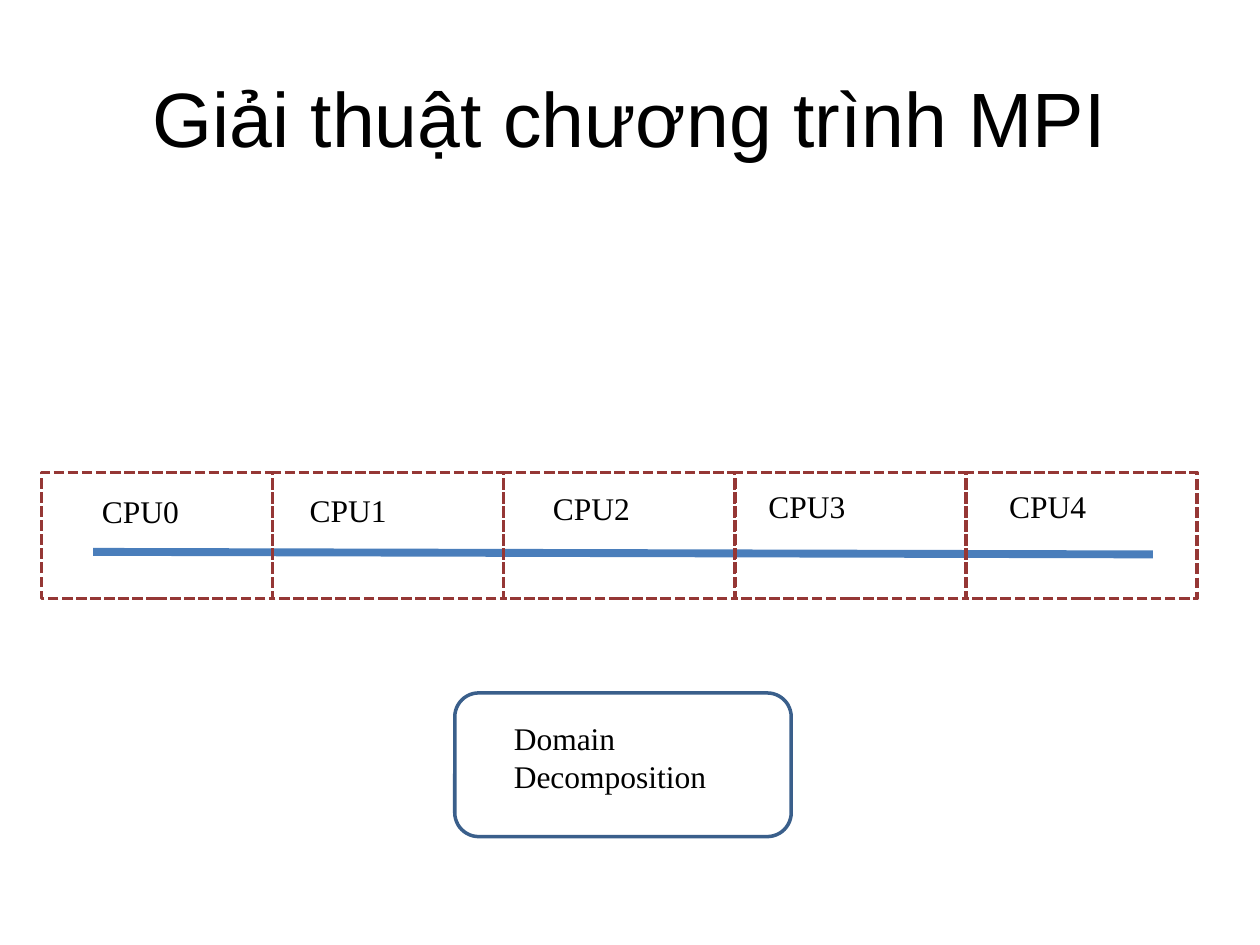
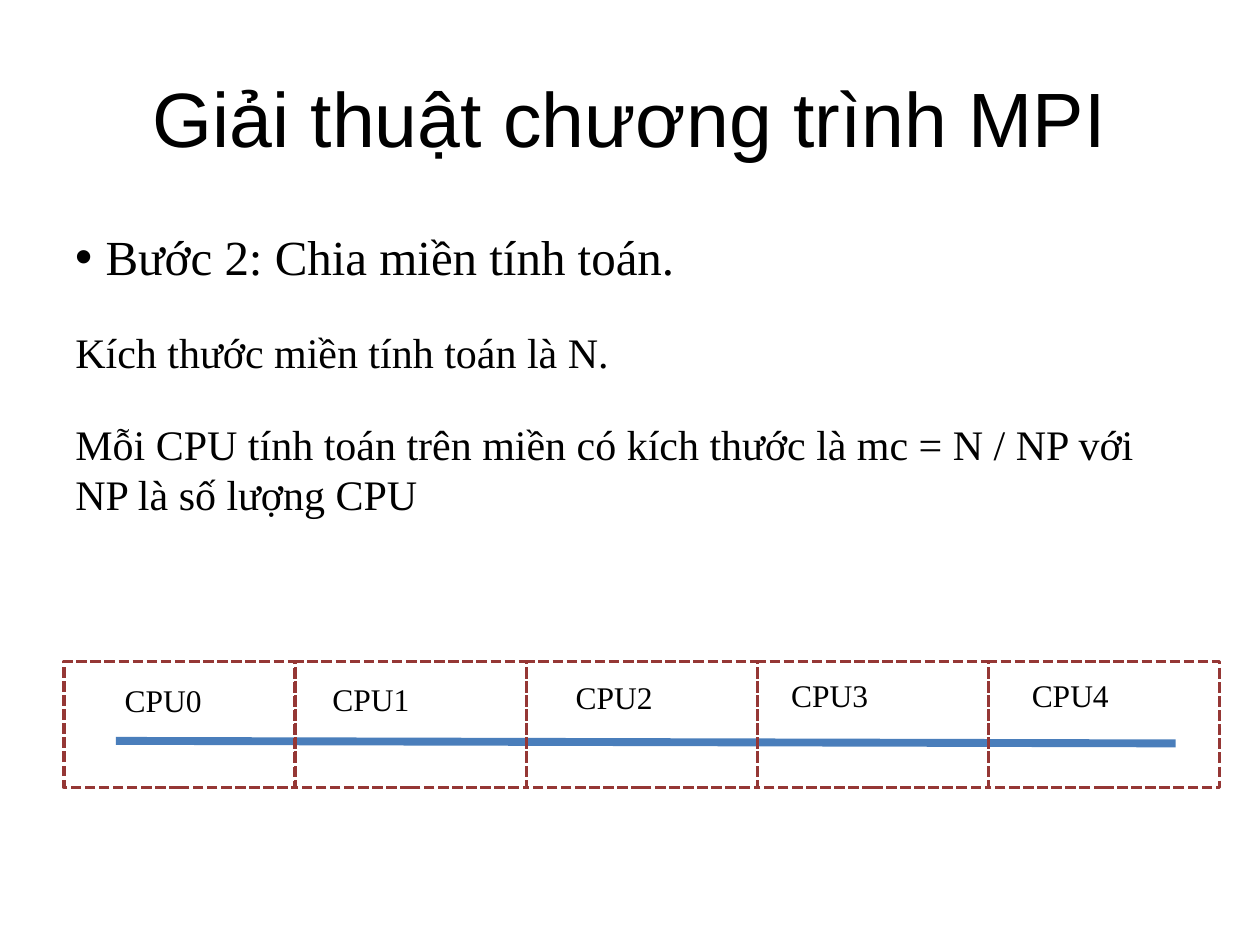
"""Build two slides on dividing a computation domain among MPI processors."""
from dataclasses import dataclass

from lxml.etree import SubElement
from pptx import Presentation
from pptx.dml.color import RGBColor
from pptx.enum.dml import MSO_LINE
from pptx.enum.shapes import MSO_CONNECTOR, MSO_SHAPE
from pptx.enum.text import MSO_ANCHOR, PP_ALIGN
from pptx.oxml.ns import qn
from pptx.util import Inches, Pt


@dataclass(frozen=True)
class Theme:
    ink: str = "000000"
    domain: str = "4A7EBB"
    cell: str = "953735"
    frame: str = "3A5F8B"
    title_font: str = "Arial"
    body_font: str = "Times New Roman"
    title_size: int = 44
    heading_size: int = 28
    body_size: int = 24
    label_size: int = 18
    outline: float = 2
    domain_line: float = 4.5


TITLE = "Giải thuật chương trình MPI"
BAND_WIDTH, BAND_HEIGHT = 9.17, 1
LABEL_OFFSETS = [(0.38, 0.11), (2.03, 0.1), (3.96, 0.08), (5.67, 0.07), (7.58, 0.07)]
BODY = [
    "Bước 2: Chia miền tính toán.",
    "Kích thước miền tính toán là N.",
    "Mỗi CPU tính toán trên miền có kích thước là mc = N / NP với NP là số lượng CPU",
]


class SlideBuilder:
    def __init__(self, deck, theme):
        self.deck = deck
        self.theme = theme
        self.page = None

    def new_page(self, title):
        self.page = self.deck.slides.add_slide(self.deck.slide_layouts[6])
        box = self.text(title, 0.5, 0.3, 9, 1.25, self.theme.title_size, self.theme.title_font)
        box.text_frame.vertical_anchor = MSO_ANCHOR.MIDDLE
        box.text_frame.paragraphs[0].alignment = PP_ALIGN.CENTER

    def format_runs(self, paragraph, size, font):
        for span in paragraph.runs:
            span.font.name = font
            span.font.size = Pt(size)
            span.font.color.rgb = RGBColor.from_string(self.theme.ink)

    def text(self, content, left, top, width, height, size, font=None):
        box = self.page.shapes.add_textbox(Inches(left), Inches(top), Inches(width), Inches(height))
        box.text_frame.word_wrap = True
        box.text_frame.text = content
        for paragraph in box.text_frame.paragraphs:
            self.format_runs(paragraph, size, font or self.theme.body_font)
        return box

    def body(self, lines):
        theme = self.theme
        box = self.text("\n".join(lines), 0.5, 1.75, 9, 4.95, theme.body_size)
        heading, *details = box.text_frame.paragraphs
        self.format_runs(heading, theme.heading_size, theme.body_font)
        heading.space_before = Pt(3)
        self.bullet(heading)
        for paragraph in details:
            paragraph.space_before = Pt(23.5)

    def bullet(self, paragraph):
        properties = paragraph._p.get_or_add_pPr()
        properties.set("marL", str(Inches(0.24)))
        properties.set("indent", str(-Inches(0.24)))
        SubElement(properties, qn("a:buFont")).set("typeface", self.theme.title_font)
        SubElement(properties, qn("a:buChar")).set("char", "•")

    def outline(self, kind, left, top, width, height, color, dash=None):
        shape = self.page.shapes.add_shape(
            kind, Inches(left), Inches(top), Inches(width), Inches(height))
        shape.shadow.inherit = False
        shape.fill.background()
        shape.line.color.rgb = RGBColor.from_string(color)
        shape.line.width = Pt(self.theme.outline)
        if dash:
            shape.line.dash_style = dash

    def line(self, start_x, start_y, end_x, end_y, color, width):
        connector = self.page.shapes.add_connector(
            MSO_CONNECTOR.STRAIGHT,
            Inches(start_x), Inches(start_y), Inches(end_x), Inches(end_y))
        connector.line.color.rgb = RGBColor.from_string(color)
        connector.line.width = Pt(width)
        SubElement(connector._element.spPr, qn("a:effectLst"))

    def processor_band(self, left, top):
        theme = self.theme
        self.line(left + 0.41, top + 0.63, left + 8.82, top + 0.65,
                  theme.domain, theme.domain_line)
        cell_width = BAND_WIDTH / len(LABEL_OFFSETS)
        for index in range(len(LABEL_OFFSETS)):
            self.outline(MSO_SHAPE.RECTANGLE, left + index * cell_width, top,
                         cell_width, BAND_HEIGHT, theme.cell, MSO_LINE.SQUARE_DOT)
        for index, (across, down) in enumerate(LABEL_OFFSETS):
            self.text(f"CPU{index}", left + across, top + down, 1.25, 0.4, theme.label_size)


def main():
    deck = Presentation()
    deck.slide_width, deck.slide_height = Inches(10), Inches(7.5)
    theme = Theme()
    builder = SlideBuilder(deck, theme)

    builder.new_page(TITLE)
    builder.processor_band(0.33, 3.75)
    builder.text("Domain Decomposition", 3.98, 5.66, 1.87, 0.7, theme.label_size)
    builder.outline(MSO_SHAPE.ROUNDED_RECTANGLE, 3.61, 5.5, 2.67, 1.14, theme.frame)

    builder.new_page(TITLE)
    builder.body(BODY)
    builder.processor_band(0.51, 5.25)

    deck.save("out.pptx")


main()
